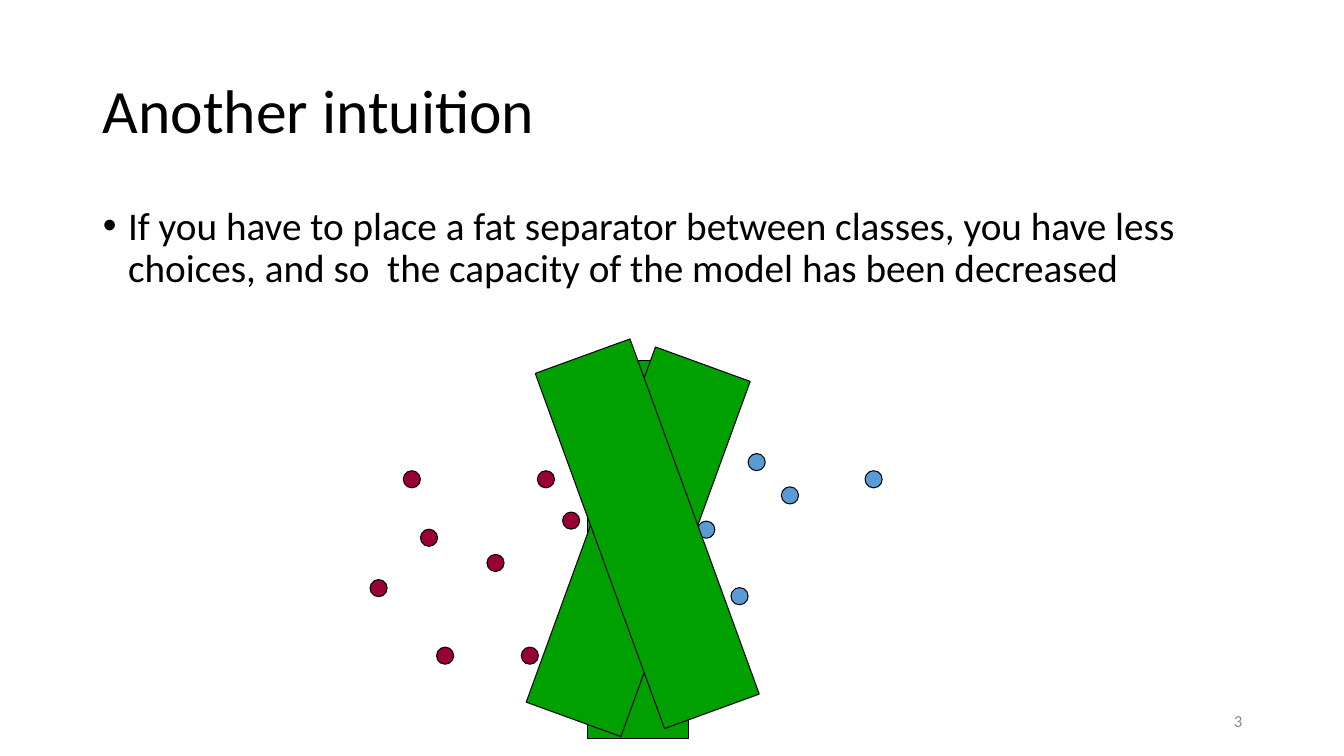
from typing import NamedTuple

from pptx import Presentation
from pptx.dml.color import RGBColor
from pptx.enum.shapes import MSO_SHAPE
from pptx.enum.text import MSO_ANCHOR, MSO_AUTO_SIZE, PP_ALIGN
from pptx.util import Inches, Pt

BLACK = RGBColor(0x00, 0x00, 0x00)
GRAY = RGBColor(0x89, 0x89, 0x89)
CRIMSON = RGBColor(0x99, 0x00, 0x33)
BLUE = RGBColor(0x5B, 0x9B, 0xD5)
GREEN = RGBColor(0x00, 0xA0, 0x00)

ELLIPSE = MSO_SHAPE.OVAL
RECTANGLE = MSO_SHAPE.RECTANGLE
LEFT, RIGHT = PP_ALIGN.LEFT, PP_ALIGN.RIGHT
TOP, MIDDLE = MSO_ANCHOR.TOP, MSO_ANCHOR.MIDDLE
NO_AUTOFIT = MSO_AUTO_SIZE.NONE

FONT = "Calibri"
DOT_SIZE = 0.17
SEPARATOR_WIDTH, SEPARATOR_HEIGHT = 1, 3.75


class Dot(NamedTuple):
    left: float
    top: float
    color: RGBColor


class Separator(NamedTuple):
    left: float
    top: float
    rotation: float


DOTS = [
    Dot(4, 4.67, CRIMSON),
    Dot(6.92, 5.17, BLUE),
    Dot(4.17, 5.25, CRIMSON),
    Dot(4.33, 6.42, CRIMSON),
    Dot(5.33, 4.67, CRIMSON),
    Dot(3.67, 5.75, CRIMSON),
    Dot(4.83, 5.5, CRIMSON),
    Dot(5.58, 5.08, CRIMSON),
    Dot(5.17, 6.42, CRIMSON),
    Dot(7.25, 5.83, BLUE),
    Dot(7.42, 4.5, BLUE),
    Dot(8.58, 4.67, BLUE),
    Dot(7.75, 4.83, BLUE),
]
SEPARATORS = [
    Separator(5.83, 3.58, 0),
    Separator(5.83, 3.5, 20),
    Separator(5.92, 3.42, 340),
]


def place(box, left: float, top: float, width: float, height: float) -> None:
    box.left, box.top = Inches(left), Inches(top)
    box.width, box.height = Inches(width), Inches(height)


def write(box, text: str, *, size: float, color: RGBColor = BLACK, align=LEFT,
          anchor=MIDDLE, line_spacing: float = 1, space_before: float = 0,
          hanging: float = 0) -> None:
    """Fill the box with one formatted paragraph."""
    frame = box.text_frame
    frame.word_wrap = True
    frame.auto_size = NO_AUTOFIT
    frame.vertical_anchor = anchor
    para = frame.paragraphs[0]
    para.alignment = align
    para.line_spacing = line_spacing
    para.space_before = Pt(space_before)
    if hanging:
        properties = para._p.get_or_add_pPr()
        properties.set("marL", str(Inches(hanging)))
        properties.set("indent", str(-Inches(hanging)))
    span = para.add_run()
    span.text = text
    span.font.name = FONT
    span.font.size = Pt(size)
    span.font.color.rgb = color


def add_outlined(page, kind, left: float, top: float, width: float,
                 height: float, fill: RGBColor, rotation: float = 0) -> None:
    shape = page.shapes.add_shape(kind, Inches(left), Inches(top),
                                  Inches(width), Inches(height))
    shape.shadow.inherit = False
    shape.rotation = rotation
    shape.fill.solid()
    shape.fill.fore_color.rgb = fill
    shape.line.color.rgb = BLACK
    shape.line.width = Pt(0.75)


def main() -> None:
    deck = Presentation()
    deck.slide_width, deck.slide_height = Inches(13.33), Inches(7.5)
    page = deck.slides.add_slide(deck.slide_layouts[1])

    number = page.shapes.add_textbox(Inches(9.42), Inches(6.95), Inches(3), Inches(0.4))
    write(number, "3", size=12, color=GRAY, align=RIGHT)

    title, body = page.shapes.title, page.placeholders[1]
    place(title, 0.92, 0.4, 11.5, 1.45)
    write(title, "Another intuition", size=44, line_spacing=0.9)
    place(body, 0.92, 2, 11.5, 4.76)
    write(body, "If you have to place a fat separator between classes, you have less "
                "choices, and so  the capacity of the model has been decreased",
          size=28, anchor=TOP, line_spacing=0.9, space_before=10, hanging=0.25)

    for dot in DOTS:
        add_outlined(page, ELLIPSE, dot.left, dot.top, DOT_SIZE, DOT_SIZE, dot.color)
    for separator in SEPARATORS:
        add_outlined(page, RECTANGLE, separator.left, separator.top, SEPARATOR_WIDTH,
                     SEPARATOR_HEIGHT, GREEN, separator.rotation)

    deck.save("out.pptx")


if __name__ == "__main__":
    main()
